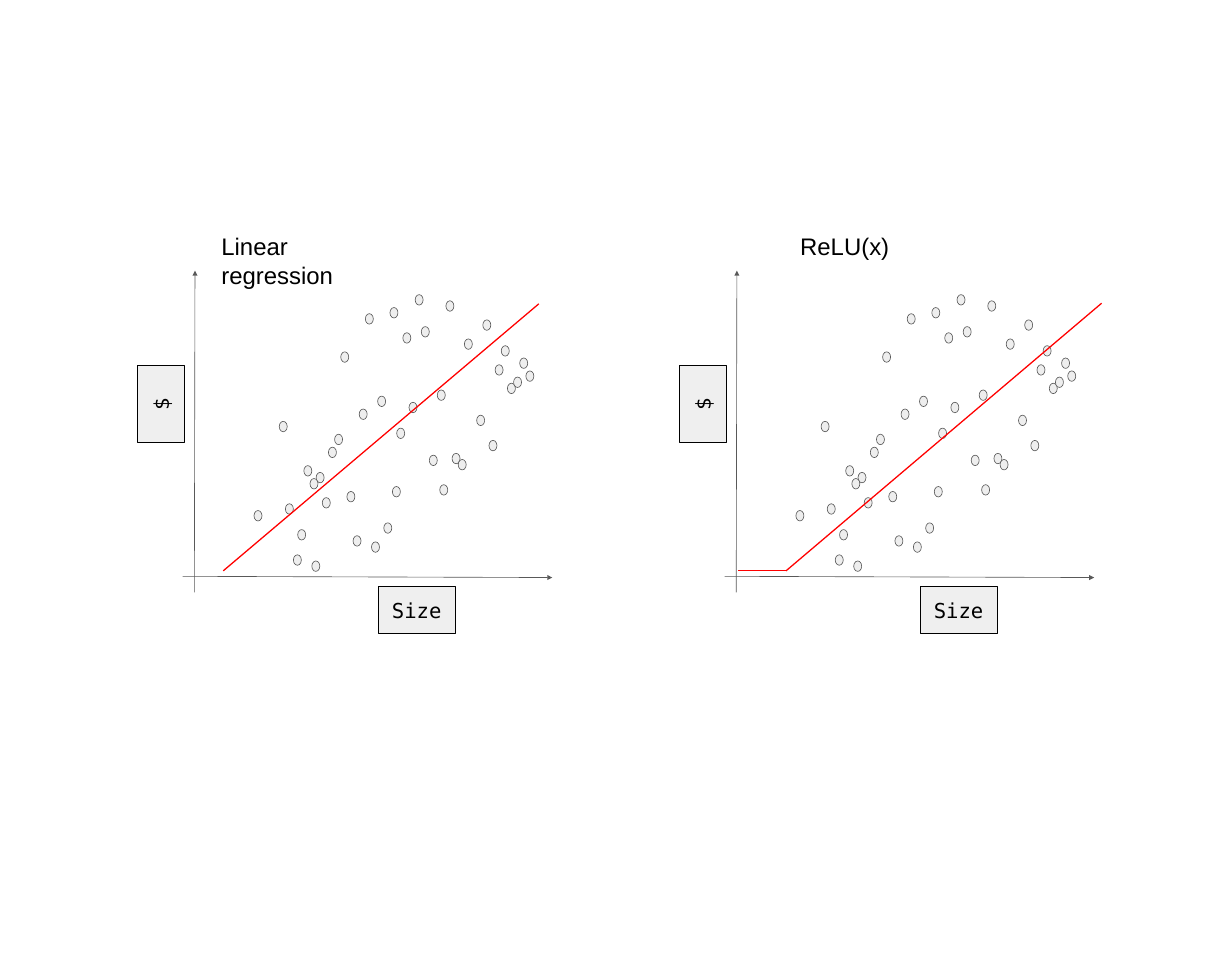
from itertools import pairwise

from lxml.etree import SubElement
from pptx import Presentation
from pptx.dml.color import RGBColor
from pptx.enum.shapes import MSO_CONNECTOR, MSO_SHAPE
from pptx.enum.text import MSO_ANCHOR, PP_ALIGN
from pptx.oxml.ns import qn
from pptx.util import Pt

EMU_PER_PX = 9144
COLORS = {"dot": "EEEEEE", "label": "EFEFEF", "axis": "595959",
          "fit": "FF0000", "ink": "000000"}
PANEL_SHIFT = 881
HOUSES = [
    (454, 685), (413, 830), (477, 902), (494, 757), (507, 912), (524, 809),
    (484, 861), (464, 819), (634, 500), (514, 768), (685, 531), (711, 634),
    (544, 706), (554, 572), (614, 644), (604, 881), (645, 696), (715, 788),
    (698, 740), (638, 791), (564, 799), (624, 850), (815, 562), (795, 716),
    (845, 582), (855, 603), (825, 623), (805, 593), (835, 613), (594, 510),
    (504, 778), (655, 541), (574, 871), (665, 654), (534, 727), (584, 665),
    (725, 489), (735, 737), (785, 520), (775, 675), (675, 479), (755, 551),
    (745, 747),
]


def px(length):
    """Turn px into whole EMU."""
    return length * EMU_PER_PX


def color(key):
    """Look up a named colour."""
    return RGBColor.from_string(COLORS[key])


def add_line(slide, start, end, stroke, width, arrow=False):
    """Draw a straight line, with an arrowhead at its end if asked."""
    line = slide.shapes.add_connector(
        MSO_CONNECTOR.STRAIGHT, *map(px, (*start, *end)))
    line.line.color.rgb = color(stroke)
    line.line.width = Pt(width)
    if arrow:
        SubElement(line.line._get_or_add_ln(), qn("a:tailEnd"), type="triangle")
    SubElement(line._element.spPr, qn("a:effectLst"))


def add_outlined(slide, preset, box, fill, stroke):
    """Draw a filled preset shape with a thin outline."""
    outlined = slide.shapes.add_shape(preset, *map(px, box))
    outlined.shadow.inherit = False
    outlined.fill.solid()
    outlined.fill.fore_color.rgb = color(fill)
    outlined.line.color.rgb = color(stroke)
    outlined.line.width = Pt(0.75)
    return outlined


def write_text(holder, text, font, size, align, anchor):
    """Write one run with even insets."""
    frame = holder.text_frame
    frame.word_wrap = True
    frame.vertical_anchor = anchor
    frame.margin_left = frame.margin_right = px(20)
    frame.margin_top = frame.margin_bottom = px(20)
    paragraph = frame.paragraphs[0]
    paragraph.alignment = align
    run = paragraph.add_run()
    run.text = text
    run.font.name = font
    run.font.size = Pt(size)
    run.font.color.rgb = color("ink")


def add_axis_label(slide, left, top, text, rotation=0):
    """Draw a boxed axis label."""
    label = add_outlined(slide, MSO_SHAPE.RECTANGLE, (left, top, 125, 77),
                         "label", "ink")
    label.rotation = rotation
    write_text(label, text, "DejaVu Sans Mono", 24.1,
               PP_ALIGN.CENTER, MSO_ANCHOR.MIDDLE)


def add_title(slide, left, width, text):
    """Write the title above a plot."""
    title = slide.shapes.add_textbox(*map(px, (left, 357, width, 111)))
    write_text(title, text, "Arial", 28, PP_ALIGN.LEFT, MSO_ANCHOR.TOP)


def add_plot(slide, shift, fit):
    """Draw the scatter of houses with its axes, labels and fitted line."""
    add_line(slide, (297 + shift, 937), (898 + shift, 939), "axis", 0.75, True)
    for left, top in HOUSES:
        add_outlined(slide, MSO_SHAPE.OVAL, (left + shift, top, 13, 17),
                     "dot", "axis")
    add_axis_label(slide, 615 + shift, 953, "Size")
    add_axis_label(slide, 199 + shift, 618, "$", 270)
    for start, end in pairwise(fit):
        add_line(slide, start, end, "fit", 1.5)
    add_line(slide, (316 + shift, 963), (317 + shift, 440), "axis", 0.75, True)


def main():
    """Build the slide and save it."""
    deck = Presentation()
    deck.slide_width, deck.slide_height = px(2003), px(1577)
    slide = deck.slides.add_slide(deck.slide_layouts[6])
    add_plot(slide, 0, [(363, 928), (876, 494)])
    add_plot(slide, PANEL_SHIFT, [(1200, 928), (1278, 928), (1791, 493)])
    add_title(slide, 340, 320, "Linear regression")
    add_title(slide, 1281, 201, "ReLU(x)")
    deck.save("out.pptx")


if __name__ == "__main__":
    main()
